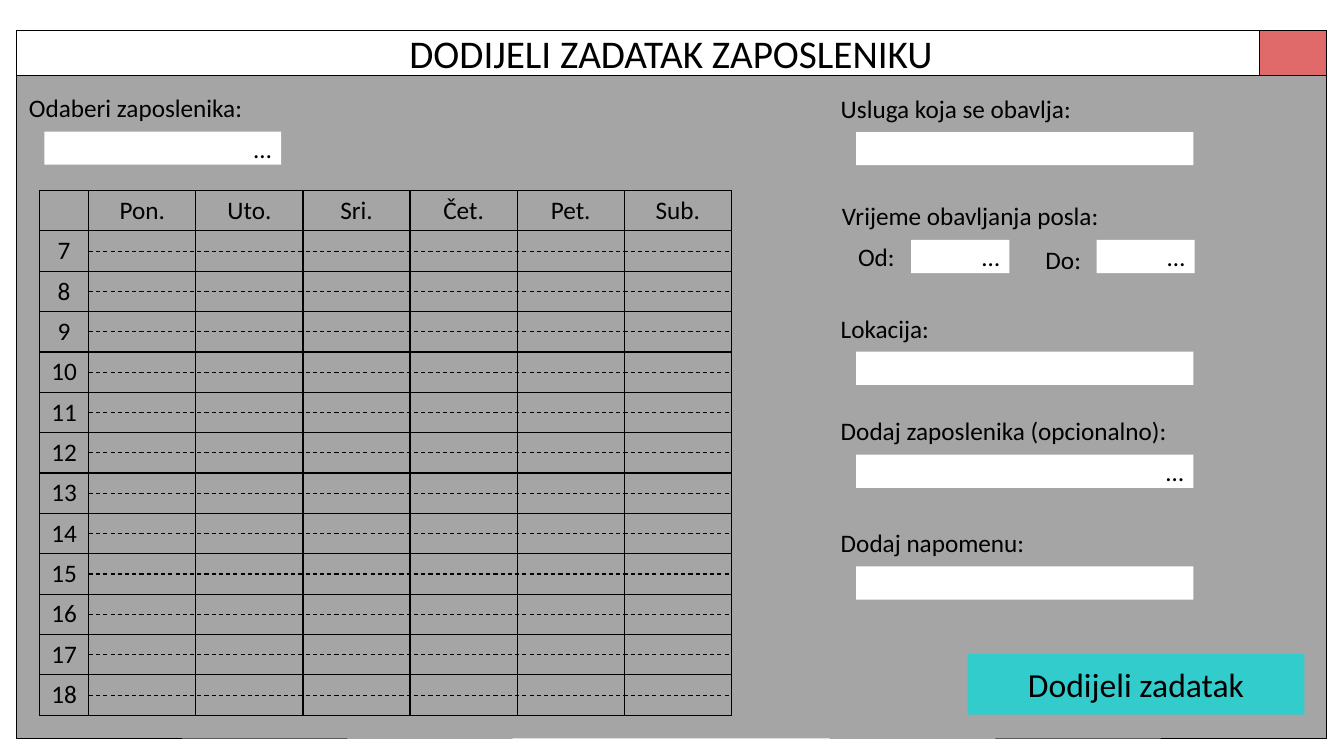
from pptx import Presentation as Deck
from pptx.util import Inches, Pt
from pptx.dml.color import RGBColor as Rgb
from pptx.enum.dml import MSO_LINE_DASH_STYLE as Dash
from pptx.enum.shapes import MSO_CONNECTOR as Link, MSO_SHAPE as Form
from pptx.enum.text import MSO_ANCHOR as Anchor, MSO_AUTO_SIZE as Fit, PP_ALIGN as Align
from pptx.oxml import parse_xml
from pptx.oxml.ns import nsdecls, qn

BLACK, WHITE, GREY = "000000", "FFFFFF", "A5A5A5"
RED, TEAL = "E06A6A", "33CCCC"
DOTS = "…"


def hue(code):
    return Rgb.from_string(code)


def write(frame, text, size=18, color=BLACK, font="Calibri", align=Align.LEFT,
          anchor=Anchor.TOP):
    frame.word_wrap = True
    frame.vertical_anchor = anchor
    para = frame.paragraphs[0]
    para.alignment = align
    if text:
        run = para.add_run()
        run.text = text
        run.font.size, run.font.name = Pt(size), font
        run.font.color.rgb = hue(color)


class Form_Page:
    def __init__(self, deck):
        self.wide, self.high = deck.slide_width, deck.slide_height
        self.slide = deck.slides.add_slide(deck.slide_layouts[5])
        self.shapes = self.slide.shapes

    def x(self, share):
        return int(self.wide * share / 100)

    def y(self, share):
        return int(self.high * share / 100)

    def place(self, left, top, wide, high):
        return self.x(left), self.y(top), self.x(wide), self.y(high)

    def paint(self, shape, fill, edge):
        shape.fill.solid()
        shape.fill.fore_color.rgb = hue(fill)
        if edge:
            shape.line.color.rgb = hue(BLACK)
            shape.line.width = Pt(0.25)
        else:
            shape.line.fill.background()

    def box(self, *area, fill=WHITE, edge=False, text="", **style):
        shape = self.shapes.add_shape(Form.RECTANGLE, *self.place(*area))
        shape.shadow.inherit = False
        self.paint(shape, fill, edge)
        write(shape.text_frame, text, anchor=Anchor.MIDDLE, **style)

    def title(self, *area, text):
        shape = self.shapes.title
        shape.left, shape.top, shape.width, shape.height = self.place(*area)
        self.paint(shape, WHITE, True)
        shape.text_frame.auto_size = Fit.NONE
        write(shape.text_frame, text, size=28, align=Align.CENTER, anchor=Anchor.MIDDLE)
        self.shapes._spTree.append(shape._element)

    def label(self, text, left, top, wide=37):
        shape = self.shapes.add_textbox(*self.place(left, top, wide, 5.33))
        write(shape.text_frame, text)

    def field(self, text, left, top, wide, mark=""):
        self.label(text, left - 1.88, top - 5.8)
        self.entry(left, top, wide, mark)

    def entry(self, left, top, wide, mark=DOTS):
        self.box(left, top, wide, 4.4, text=mark, align=Align.RIGHT)

    def dash(self, left, right, top):
        line = self.shapes.add_connector(
            Link.STRAIGHT, self.x(left), self.y(top), self.x(right), self.y(top))
        line.line.color.rgb = hue(BLACK)
        line.line.width = Pt(0.75)
        line.line.dash_style = Dash.DASH
        line._element.spPr.append(parse_xml(f"<a:effectLst {nsdecls('a')}/>"))

    def frame(self, cell):
        props = cell._tc.get_or_add_tcPr()
        for spot, side in enumerate("LRTB"):
            props.insert(spot, parse_xml(
                f'<a:ln{side} {nsdecls("a")} w="12700"><a:solidFill>'
                f'<a:srgbClr val="{BLACK}"/></a:solidFill></a:ln{side}>'))

    def plan(self, left, top, first, step, pitch, days, hours):
        rows = [["", *days]] + [[str(hour)] + [""] * len(days) for hour in hours]
        wide, high = first + step * len(days), pitch * len(rows)
        table = self.shapes.add_table(
            len(rows), len(rows[0]), *self.place(left, top, wide, high)).table
        table.first_row = table.horz_banding = False
        for spot, column in enumerate(table.columns):
            column.width = self.x(step if spot else first)
        for row, texts in zip(table.rows, rows):
            row.height = self.y(pitch)
            for cell, text in zip(row.cells, texts):
                cell.margin_top = cell.margin_bottom = Inches(0.04)
                cell.fill.background()
                self.frame(cell)
                write(cell.text_frame, text, align=Align.CENTER)
                cell.vertical_anchor = Anchor.MIDDLE
        for spot in range(1, len(rows)):
            self.dash(left + first, left + wide, top + pitch * (spot + 0.5))


deck = Deck()
deck.slide_width, deck.slide_height = Inches(13.33), Inches(7.5)
page = Form_Page(deck)

page.box(1.2, 4, 97.45, 93.6, fill=GREY, edge=True)
page.title(1.2, 4, 97.45, 5.9, text="DODIJELI ZADATAK ZAPOSLENIKU")
page.box(93.7, 4, 4.95, 5.9, fill=RED, edge=True)

page.field("Odaberi zaposlenika:", 3.3, 17.4, 17.63, DOTS)
page.plan(2.93, 25.2, 3.68, 7.97, 5.34,
          ["Pon.", "Uto.", "Sri.", "Čet.", "Pet.", "Sub."], range(7, 19))

for text, top, mark in [("Usluga koja se obavlja:", 17.47, ""),
                        ("Lokacija:", 46.53, ""),
                        ("Dodaj zaposlenika (opcionalno):", 60.13, DOTS),
                        ("Dodaj napomenu:", 74.93, "")]:
    page.field(text, 63.7, top, 25.1, mark)

page.label("Vrijeme obavljanja posla:", 61.9, 25.9)
for text, left, top, start in [("Od:", 63.1, 31.2, 67.8), ("Do:", 77.05, 31.7, 81.6)]:
    page.label(text, left, top, 6)
    page.entry(start, 31.73, 7.3)

page.box(72, 86.53, 25.05, 8, fill=TEAL, text="Dodijeli zadatak", size=24,
         align=Align.CENTER)

deck.save("out.pptx")
